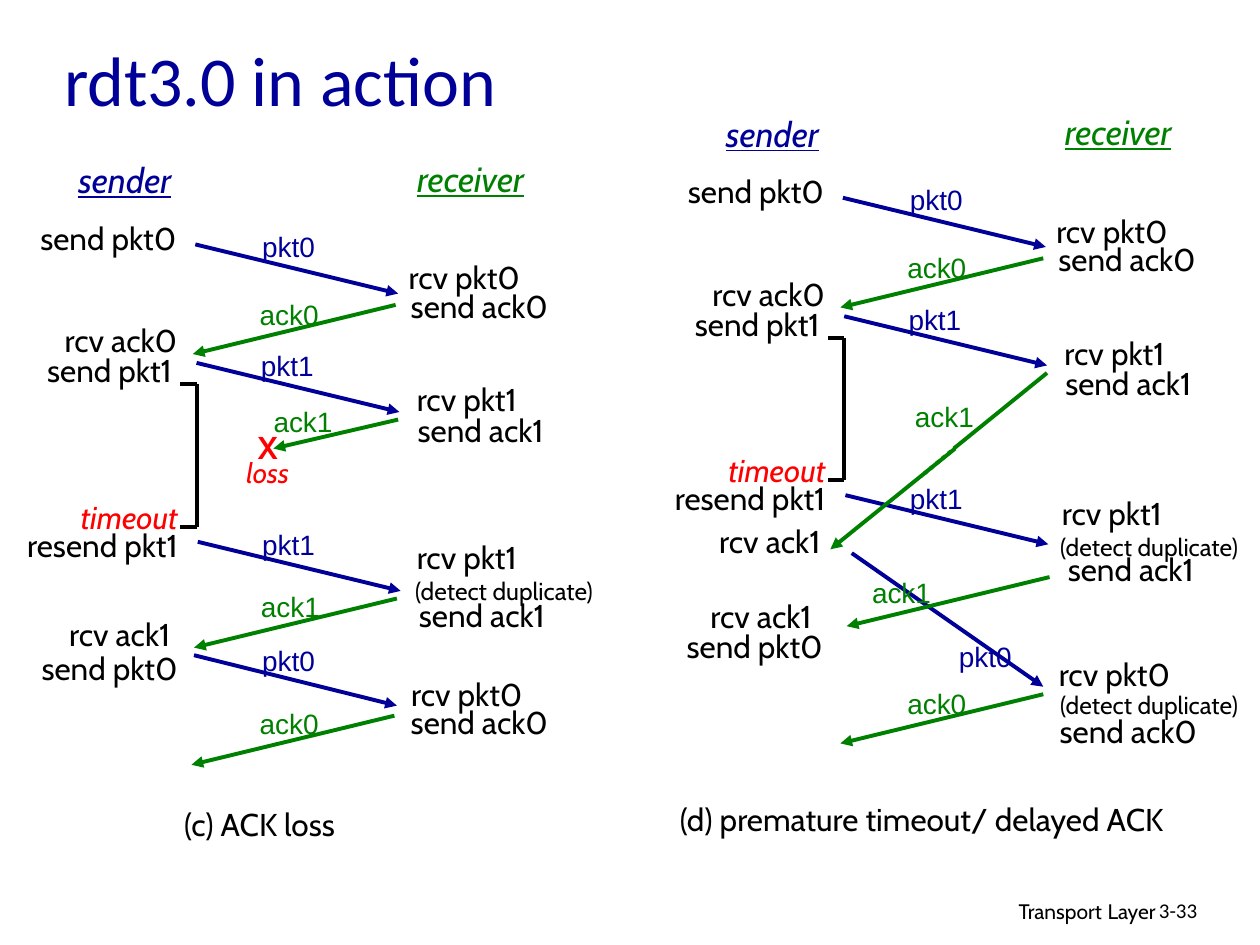
from lxml import etree
from pptx import Presentation
from pptx.dml.color import RGBColor
from pptx.enum.dml import MSO_LINE
from pptx.enum.shapes import MSO_CONNECTOR
from pptx.enum.text import MSO_ANCHOR, PP_ALIGN
from pptx.oxml.ns import qn
from pptx.util import Pt

PX = 9144  # 100 px to the inch
STRAIGHT = MSO_CONNECTOR.STRAIGHT
DOTTED = MSO_LINE.ROUND_DOT
LEFT, CENTER, RIGHT = PP_ALIGN.LEFT, PP_ALIGN.CENTER, PP_ALIGN.RIGHT
TOP, MIDDLE = MSO_ANCHOR.TOP, MSO_ANCHOR.MIDDLE
BLUE, GREEN, RED, BLACK = "000099", "008000", "FF0000", "000000"

EVENT = {"name": "Cabin", "size": 18}
ALERT = {"name": "Cabin", "size": 18, "italic": True}
HEADING = {"name": "Cabin", "size": 20, "italic": True, "underline": True}
DUPLICATE = {"name": "Cabin", "size": 14}
MESSAGE = {"name": "Arial", "size": 16}
FOOTER = {"name": "Cabin", "size": 12}
EVENT_WIDTHS = {"rcv pkt": 109, "rcv ack": 112, "send pkt": 128, "send ack": 131}

# Both panels start alike; all places are relative to the panel's corner
SHARED_EVENTS = [
    ("send pkt0", 22, 49), ("rcv pkt0", 314, 80), ("send ack0", 315, 103),
    ("rcv ack0", 40, 130), ("send pkt1", 23, 154),
    ("rcv pkt1", 316, 177), ("send ack1", 316, 201),
]
# Message, start, end, label corner
SHARED_MESSAGES = [
    ("pkt0", (155, 74), (316, 113), (198, 57)),
    ("ack0", (314, 122), (153, 161), (196, 111)),
    ("pkt1", (156, 168), (317, 207), (197, 152)),
    ("pkt1", (157, 310), (318, 349), (198, 294)),
]
LOSS_EVENTS = [
    ("rcv pkt1", 316, 302), ("send ack1", 317, 348), ("rcv ack1", 39, 363),
    ("send pkt0", 23, 390), ("rcv pkt0", 316, 411), ("send ack0", 315, 433),
]
LOSS_MESSAGES = [
    ("ack1", (316, 213), (217, 236), (207, 196)),
    ("ack1", (315, 355), (154, 394), (197, 343)),
    ("pkt0", (154, 400), (315, 440), (198, 386)),
    ("ack0", (313, 448), (152, 487), (196, 436)),
]
DELAY_EVENTS = [
    ("rcv pkt1", 314, 304), ("send ack1", 318, 349), ("rcv ack1", 41, 326),
    ("rcv ack1", 34, 386), ("send pkt0", 21, 410),
    ("rcv pkt0", 316, 432), ("send ack0", 316, 477),
]
DELAY_MESSAGES = [
    ("ack1", (244, 273), (145, 353), (202, 229)),
    ("pkt0", (162, 356), (314, 462), (237, 420)),
    ("ack1", (319, 375), (158, 414), (168, 369)),
    ("ack0", (314, 468), (153, 507), (196, 457)),
]


def color(hex_value):
    return RGBColor.from_string(hex_value)


def add_span(para, text, style, hex_value):
    span = para.add_run()
    span.text = text
    for name, value in style.items():
        setattr(span.font, name, Pt(value) if name == "size" else value)
    span.font.color.rgb = color(hex_value)


def add_text(page, box, paras, align=CENTER, anchor=TOP, wrap=False, spacing=None):
    """Each paragraph is a list of (text, style, colour) spans."""
    frame = page.shapes.add_textbox(*(side * PX for side in box)).text_frame
    frame.word_wrap = wrap
    frame.vertical_anchor = anchor
    for index, spans in enumerate(paras):
        para = frame.add_paragraph() if index else frame.paragraphs[0]
        para.alignment = align
        if spacing:
            para.line_spacing = spacing
        for span in spans:
            add_span(para, *span)


def add_line(page, origin, start, end, hex_value, arrow=False, dash=None):
    x, y = origin
    line = page.shapes.add_connector(
        STRAIGHT, (x + start[0]) * PX, (y + start[1]) * PX,
        (x + end[0]) * PX, (y + end[1]) * PX)
    line.line.color.rgb = color(hex_value)
    line.line.width = Pt(2.25)
    if dash:
        line.line.dash_style = dash
    if arrow:
        tail = etree.SubElement(line.line._get_or_add_ln(), qn("a:tailEnd"))
        tail.set("type", "triangle")
    etree.SubElement(line._element.spPr, qn("a:effectLst"))


def add_panel(page, origin, caption, caption_box, events, messages, duplicates):
    """Timeline between sender and receiver, with its timeout and caption."""
    x, y = origin

    def put(text, left, top, width, height, style, hex_value):
        add_text(page, (x + left, y + top, width, height), [[(text, style, hex_value)]])

    # Headings and caption
    put("sender", 48, 1, 102, 43, HEADING, BLUE)
    put("receiver", 315, 0, 117, 43, HEADING, GREEN)
    put(caption, *caption_box, EVENT, BLACK)

    # Events on both sides
    for text, left, top in SHARED_EVENTS + events:
        put(text, left, top, EVENT_WIDTHS[text[:-1]], 40, EVENT, BLACK)
    for left, top in duplicates:
        put("(detect duplicate)", left, top, 172, 33, DUPLICATE, BLACK)

    # Messages with their labels
    for text, start, end, label in SHARED_MESSAGES + messages:
        is_packet = text.startswith("pkt")
        hex_value = BLUE if is_packet else GREEN
        add_line(page, origin, start, end, hex_value, arrow=True)
        put(text, *label, 62 if is_packet else 67, 37, MESSAGE, hex_value)

    # Timeout bracket
    add_line(page, origin, (156, 185), (156, 298), BLACK)
    for top in (185, 298):
        add_line(page, origin, (156, top), (143, top), BLACK)
    add_text(page, (x, y + 277, 151, 55),
             [[("timeout", ALERT, RED)], [("resend pkt1", EVENT, BLACK)]],
             align=RIGHT, spacing=0.75)


def add_loss_panel(page, origin):
    add_panel(page, origin, "(c) ACK loss", (130, 514, 152, 40),
              LOSS_EVENTS, LOSS_MESSAGES, [(314, 332)])
    # Lost acknowledgement
    x, y = origin
    add_text(page, (x + 194, y + 215, 37, 40), [[("X", EVENT | {"bold": True}, RED)]])
    add_text(page, (x + 184, y + 237, 57, 37), [[("loss", ALERT | {"size": 16}, RED)]])


def add_delay_panel(page, origin):
    add_panel(page, origin, "(d) premature timeout/ delayed ACK", (6, 547, 423, 40),
              DELAY_EVENTS, DELAY_MESSAGES, [(312, 334), (312, 460)])
    # First stretch of the delayed acknowledgement
    add_line(page, origin, (317, 213), (243, 273), GREEN)
    add_line(page, origin, (241, 275), (217, 295), GREEN, dash=DOTTED)


def add_title(page, box):
    style = {"name": "Calibri", "size": 40}
    add_text(page, box, [[("rdt3.0 in action", style, BLUE)]],
             align=LEFT, anchor=MIDDLE, wrap=True)


def add_footer(page, box):
    left, top, width, height = box
    spans = [("Transport", FOOTER, BLACK), (" ", FOOTER | {"size": 14}, BLACK),
             ("Layer", FOOTER, BLACK)]
    add_text(page, (left, top, 317, height), [spans], align=RIGHT, wrap=True)
    add_text(page, (left + 300, top + 2, width - 300, height),
             [[("3-33", FOOTER | {"name": "Calibri"}, BLACK)]], align=LEFT, wrap=True)


def main():
    deck = Presentation()
    deck.slide_width, deck.slide_height = 1000 * PX, 750 * PX
    page = deck.slides.add_slide(deck.slide_layouts[6])
    add_title(page, (41, 28, 431, 68))
    add_loss_panel(page, (0, 120))
    add_delay_panel(page, (514, 83))
    add_footer(page, (610, 705, 374, 31))
    deck.save("out.pptx")


if __name__ == "__main__":
    main()
